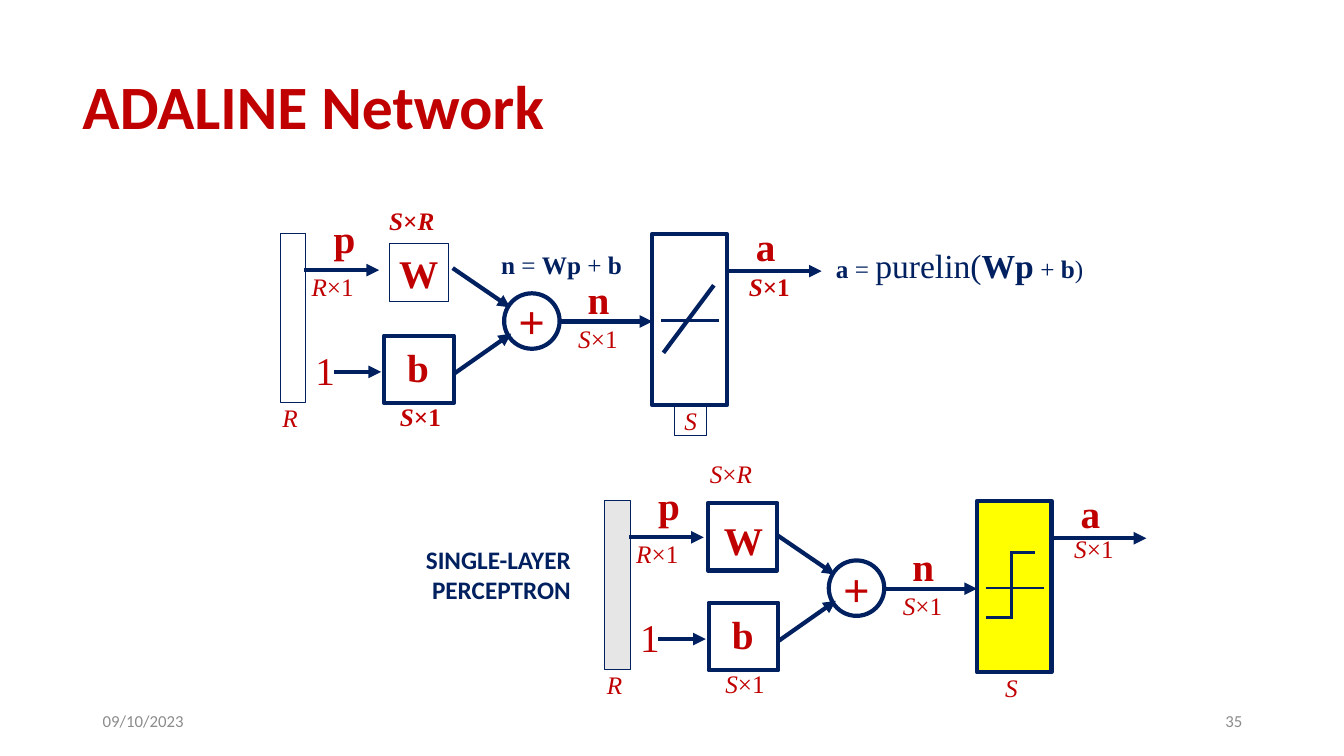
from lxml.etree import SubElement
from pptx import Presentation
from pptx.dml.color import RGBColor
from pptx.enum.shapes import MSO_CONNECTOR, MSO_SHAPE
from pptx.enum.text import MSO_ANCHOR, MSO_AUTO_SIZE, PP_ALIGN
from pptx.oxml.ns import qn
from pptx.util import Inches, Pt

NAVY = RGBColor(0x00, 0x20, 0x60)
RED = RGBColor(0xC0, 0x00, 0x00)
GREY = RGBColor(0x8C, 0x8C, 0x8C)
PALE = RGBColor(0xE7, 0xE6, 0xE6)
YELLOW = RGBColor(0xFF, 0xFF, 0x00)
SERIF = "Times New Roman"
SANS = "Calibri"
LEFT, MID, RIGHT = PP_ALIGN.LEFT, PP_ALIGN.CENTER, PP_ALIGN.RIGHT


def write(shape, runs, size=18, font=SERIF, color=RED, align=LEFT,
          anchor=MSO_ANCHOR.TOP, pad=(0.1, 0.05), wrap=True, grow=True, gap=None):
    """Fill a shape with runs of (text, style, optional size)."""
    frame = shape.text_frame
    frame.word_wrap = wrap
    frame.auto_size = MSO_AUTO_SIZE.SHAPE_TO_FIT_TEXT if grow else MSO_AUTO_SIZE.NONE
    frame.vertical_anchor = anchor
    frame.margin_left = frame.margin_right = Inches(pad[0])
    frame.margin_top = frame.margin_bottom = Inches(pad[1])
    para = frame.paragraphs[0]
    para.alignment = align
    if gap:
        para.line_spacing = gap
    for text, style, *own in runs:
        run = para.add_run()
        run.text = text
        run.font.name = font
        run.font.size = Pt(own[0] if own else size)
        run.font.color.rgb = color
        run.font.bold = "b" in style
        run.font.italic = "i" in style


def box(slide, x, y, w, h):
    """Add an empty text box."""
    return slide.shapes.add_textbox(Inches(x), Inches(y), Inches(w), Inches(h))


def block(slide, x, y, w, h, width=3, fill=None, kind=MSO_SHAPE.RECTANGLE):
    """Add an outlined shape."""
    shape = slide.shapes.add_shape(kind, Inches(x), Inches(y), Inches(w), Inches(h))
    shape.shadow.inherit = False
    shape.line.color.rgb = NAVY
    shape.line.width = Pt(width)
    if fill is None:
        shape.fill.background()
    else:
        shape.fill.solid()
        shape.fill.fore_color.rgb = fill
    return shape


def line(slide, x, y, end, low, width=3, head=False):
    """Draw a straight line, with an arrowhead if asked."""
    link = slide.shapes.add_connector(
        MSO_CONNECTOR.STRAIGHT, Inches(x), Inches(y), Inches(end), Inches(low))
    link.line.color.rgb = NAVY
    link.line.width = Pt(width)
    props = link._element.spPr
    if head:
        SubElement(props.find(qn("a:ln")), qn("a:tailEnd"), type="triangle")
    SubElement(props, qn("a:effectLst"))


def sign(slide, x, y, text, style="b", w=0.37):
    """Add a large symbol."""
    write(box(slide, x, y, w, 0.57), [(text, style)], size=28)


def label(slide, x, y, w, runs, align=LEFT, color=RED, h=0.3, pad=0):
    """Add a tight small label."""
    write(box(slide, x, y, w, h), runs, align=align, color=color, pad=(0.02, pad))


def dims(slide, x, y, w, name, align=MID, bold=""):
    """Add a vector size such as S×1."""
    label(slide, x, y, w, [(name, bold + "i"), ("×1", bold)], align, h=0.33, pad=0.01)


def network(slide, x, y, bold="", bar=None, fill=None, rise=0.28, shift=0, drop=0.36):
    """Draw the parts that both networks share."""
    block(slide, x, y, 0.25, 1.67, 0.75, bar)
    block(slide, x + 1.03, y + 1.01, 0.69, 0.67)
    block(slide, x + 3.69, y, 0.74, 1.7, fill=fill)
    adder = block(slide, x + 2.22, y + 0.59, 0.55, 0.55, kind=MSO_SHAPE.OVAL)
    write(adder, [("+", "")], size=32, font="Arial", align=MID,
          anchor=MSO_ANCHOR.MIDDLE, wrap=False, grow=False)
    for left, top, right, low in (
            (0.24, 0.36, 0.98, 0.36), (0.53, 1.37, 1, 1.37),
            (1.71, 0.34, 2.28, 0.73), (1.72, 1.39, 2.29, 0.99),
            (2.75, 0.87, 3.69, 0.87), (4.43, 0.37, 5.37, 0.37)):
        line(slide, x + left, y + top, x + right, y + low, head=True)
    line(slide, x + 3.78, y + 0.86, x + 4.35, y + 0.86, 1.5)
    for left, top, text in ((0.43, -0.24, "p"), (1.16, 1.04, "b"),
                            (2.95, 0.36, "n"), (4.62, -0.16, "a")):
        sign(slide, x + left, y + top, text)
    sign(slide, x + 0.25, y + 1.07, "1", "")
    sign(slide, x + 1.08, y + 0.1, "W", w=0.59)
    label(slide, x, y + 1.67, 0.32, [("R", "i")])
    label(slide, x + 1.02 + shift, y - rise, 0.66,
          [("S", bold + "i"), ("×", bold), ("R", bold + "i")])
    dims(slide, x + 0.29, y + 0.36, 0.61, "R", LEFT)
    dims(slide, x + 1.07, y + 1.65, 0.64, "S", bold=bold)
    dims(slide, x + 2.86, y + 0.88, 0.58, "S")
    dims(slide, x + 4.56, y + drop, 0.58, "S", bold=bold)


def adaline(slide, x, y):
    """Draw the linear network with its formulas."""
    network(slide, x, y, bold="b", shift=0.04)
    block(slide, x + 1.08, y + 0.1, 0.59, 0.57, 0.75)
    block(slide, x + 3.91, y + 1.7, 0.32, 0.3, 0.75)
    label(slide, x + 3.91, y + 1.7, 0.32, [("S", "i")], MID)
    line(slide, x + 3.8, y + 1.18, x + 4.3, y + 0.51)
    label(slide, x + 2.17, y + 0.15, 1.66,
          [("n ", "b"), ("= ", ""), ("Wp ", "b"), ("+ ", ""), ("b", "b")], color=NAVY)
    label(slide, x + 5.49, y + 0.11, 3.01,
          [("a ", "b"), ("= ", ""), ("purelin(", "", 24), ("Wp", "b", 24), (" ", "b"),
           ("+ ", ""), ("b", "b"), (")", "")], color=NAVY, h=0.4)


def neuron(slide, x, y):
    """Draw the hard-limit network."""
    network(slide, x, y, bar=PALE, fill=YELLOW, rise=0.42, drop=0.31)
    block(slide, x + 1.02, y + 0.02, 0.69, 0.67)
    label(slide, x + 3.87, y + 1.7, 0.32, [("S", "i")], MID)
    for left, top, right, low in ((3.78, 1.16, 4.03, 1.16), (4.03, 1.17, 4.03, 0.5),
                                  (4.02, 0.51, 4.27, 0.51)):
        line(slide, x + left, y + top, x + right, y + low, 2.25)


def main():
    """Build the slide and save it."""
    deck = Presentation()
    deck.slide_width, deck.slide_height = Inches(13.33), Inches(7.5)
    slide = deck.slides.add_slide(deck.slide_layouts[6])
    write(box(slide, 0.72, 0.36, 11.5, 1.45), [("ADALINE Network", "b")], size=44,
          font=SANS, anchor=MSO_ANCHOR.MIDDLE, grow=False, gap=0.9)
    adaline(slide, 2.78, 2.32)
    neuron(slide, 6, 4.97)
    write(box(slide, 3.7, 5.35, 2.06, 0.71), [("SINGLE-LAYER PERCEPTRON", "b")],
          font=SANS, color=NAVY, align=RIGHT)
    for x, text, align in ((0.92, "09/10/2023", LEFT), (9.42, "35", RIGHT)):
        write(box(slide, x, 6.95, 3, 0.4), [(text, "")], size=12, font=SANS,
              color=GREY, align=align, anchor=MSO_ANCHOR.MIDDLE, grow=False)
    deck.save("out.pptx")


if __name__ == "__main__":
    main()
